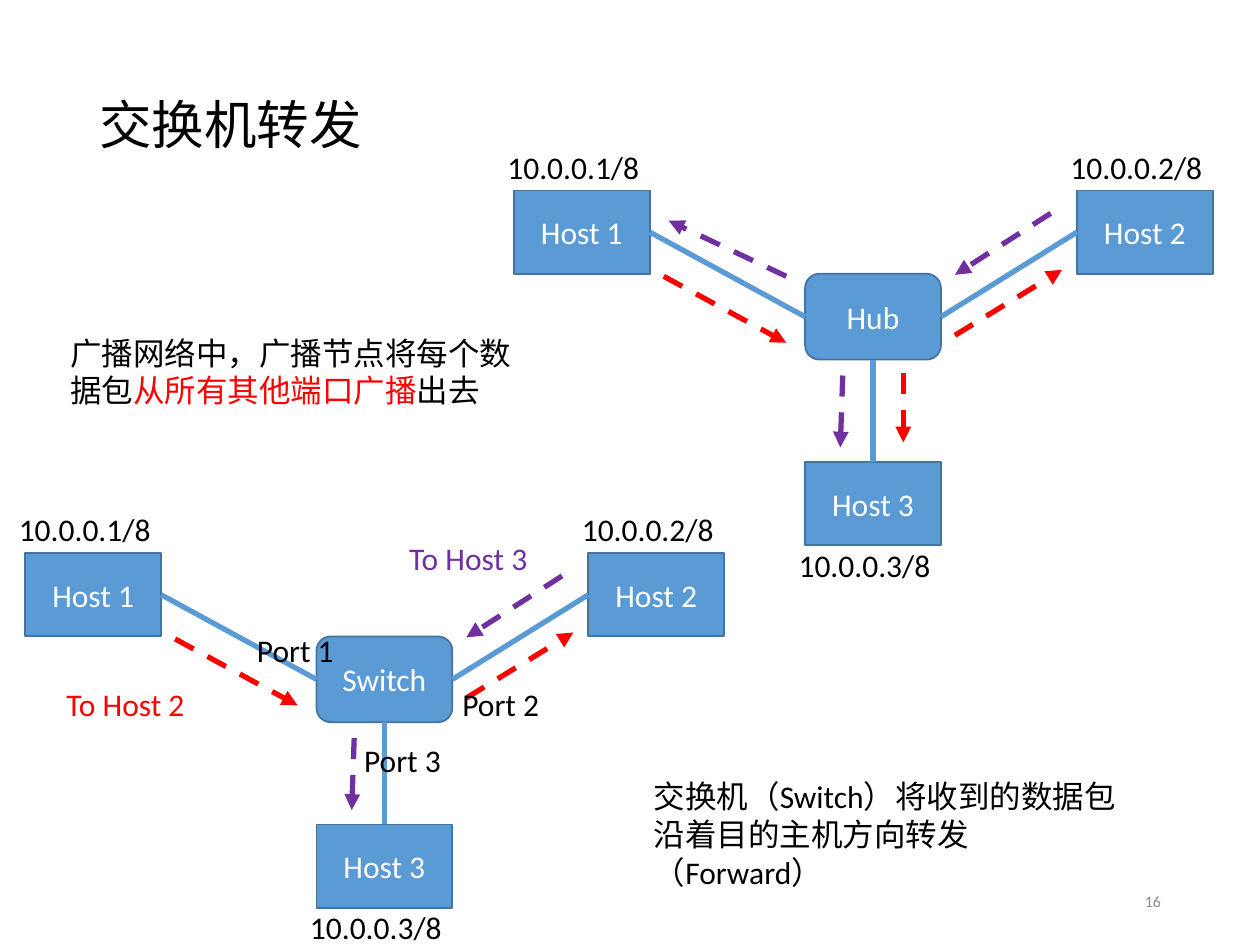
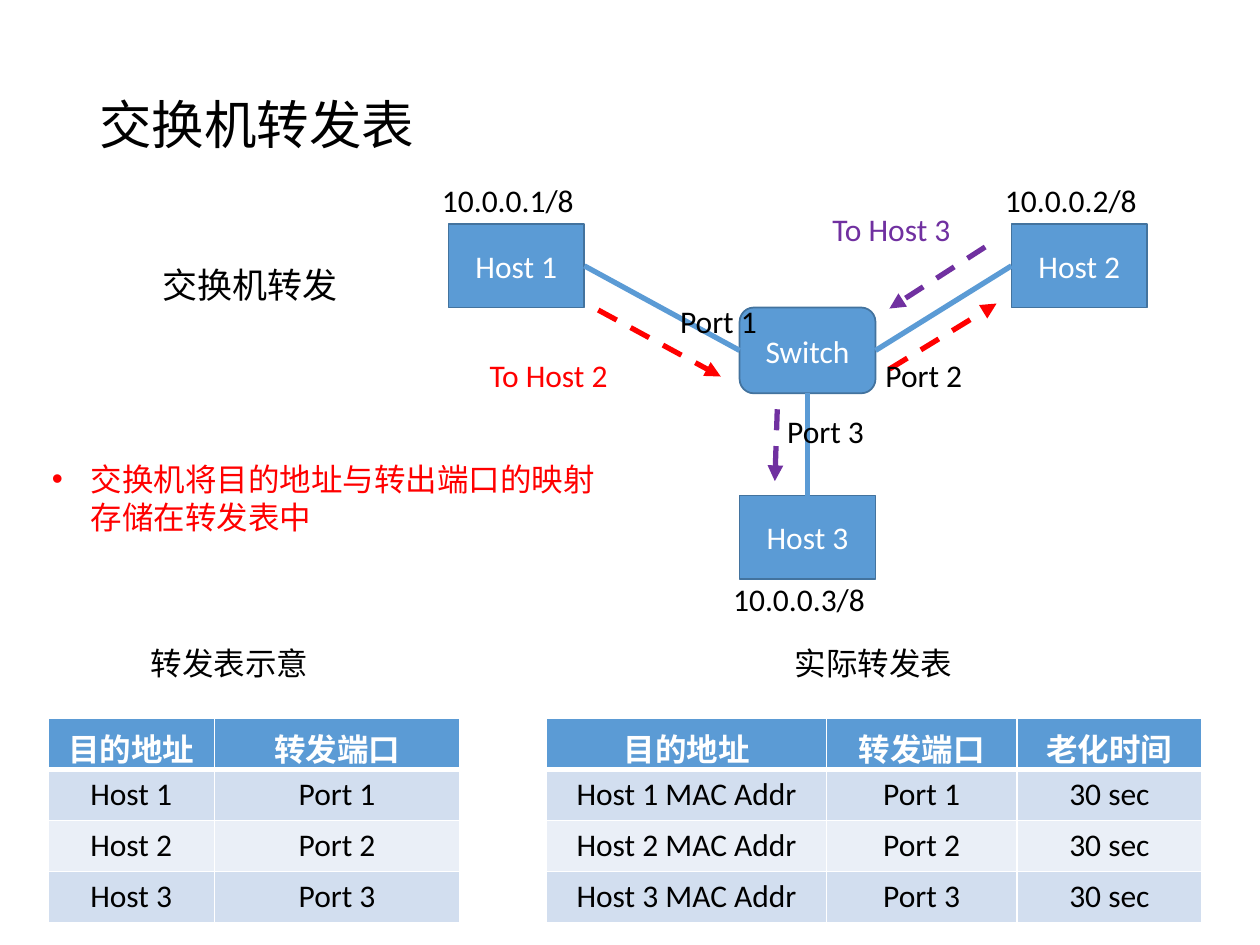
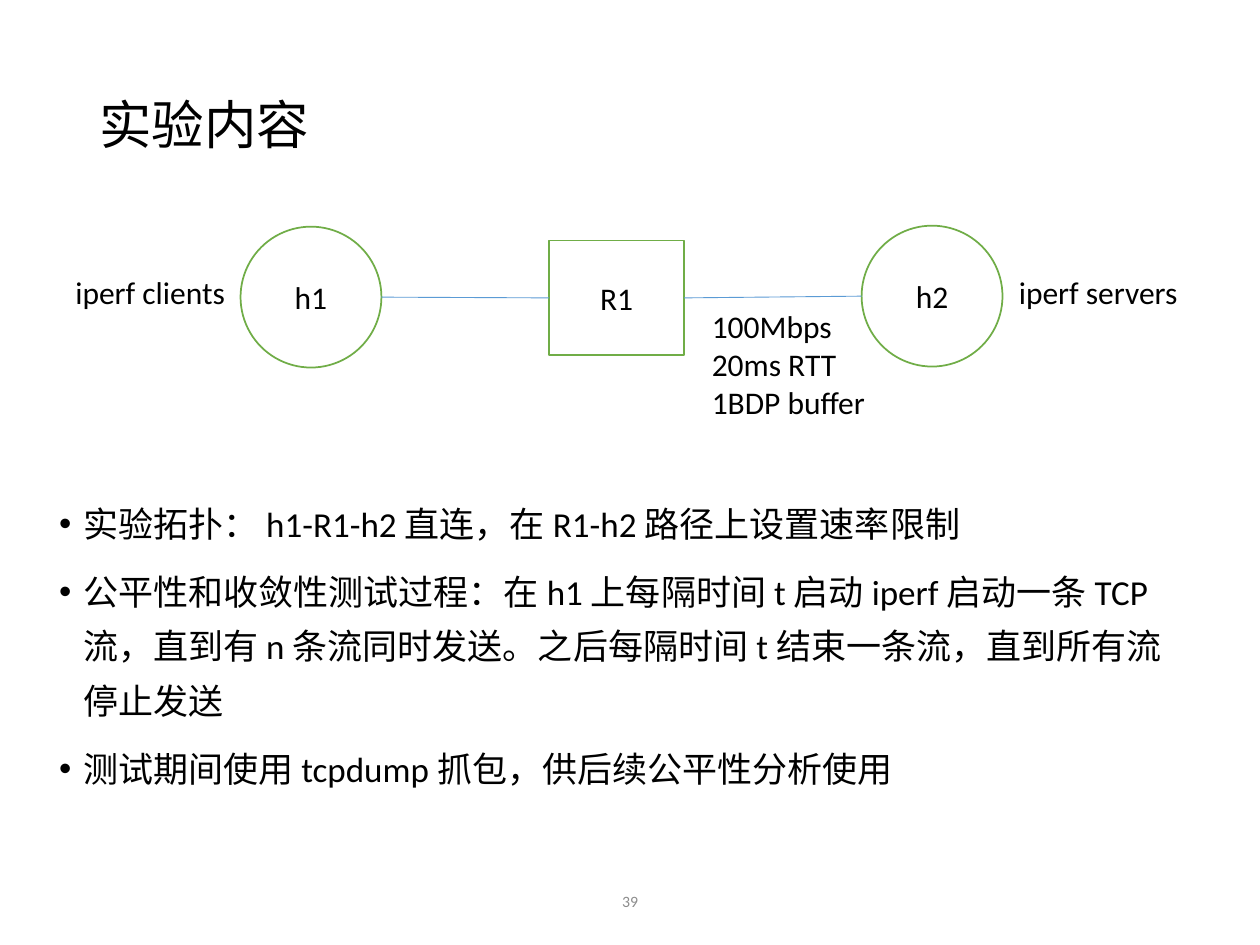
from dataclasses import dataclass

from lxml.etree import SubElement
from pptx import Presentation
from pptx.dml.color import RGBColor
from pptx.enum.dml import MSO_LINE
from pptx.enum.shapes import MSO_CONNECTOR, MSO_SHAPE
from pptx.enum.text import MSO_ANCHOR, MSO_AUTO_SIZE, PP_ALIGN
from pptx.oxml.ns import qn
from pptx.util import Cm, Pt


@dataclass(frozen=True)
class Theme:
    font: str = "Calibri"
    title_size: float = 30
    list_size: float = 20
    text_size: float = 18
    number_size: float = 9
    black: str = "000000"
    white: str = "FFFFFF"
    gray: str = "8C8C8C"
    red: str = "FF0000"
    purple: str = "7030A0"
    blue: str = "5B9BD5"
    dark_blue: str = "43739E"
    green: str = "70AD47"
    bands: tuple = ("EAEFF7", "D2DEEF")


theme = Theme()


def write(frame, lines, size=theme.text_size, color=theme.black, align=PP_ALIGN.LEFT, bold=False):
    for index, line in enumerate(lines):
        para = frame.paragraphs[0] if index == 0 else frame.add_paragraph()
        para.alignment = align
        spans = [(line, color)] if isinstance(line, str) else line
        for text, span_color in spans:
            span = para.add_run()
            span.text = text
            span.font.name = theme.font
            span.font.size = Pt(size)
            span.font.bold = bold
            span.font.color.rgb = RGBColor.from_string(span_color)


def draw_line(page, start, end, color, width, arrow=False):
    line = page.shapes.add_connector(
        MSO_CONNECTOR.STRAIGHT, *[Cm(length) for length in (*start, *end)]
    )
    line.line.color.rgb = RGBColor.from_string(color)
    line.line.width = Pt(width)
    properties = line.element.spPr
    if arrow:
        line.line.dash_style = MSO_LINE.DASH
        SubElement(properties.find(qn("a:ln")), qn("a:tailEnd"), type="triangle")
    SubElement(properties, qn("a:effectLst"))


deck = Presentation()
deck.slide_width = Cm(25.4)
deck.slide_height = Cm(19.05)

pages = []
for title, layout in (("交换机转发", 5), ("交换机转发表", 1), ("实验内容", 1)):
    page = deck.slides.add_slide(deck.slide_layouts[layout])
    heading = page.shapes.title
    heading.left, heading.top, heading.width, heading.height = Cm(1.75), Cm(1.02), Cm(21.9), Cm(3.12)
    heading.text_frame.vertical_anchor = MSO_ANCHOR.MIDDLE
    heading.text_frame.auto_size = MSO_AUTO_SIZE.NONE
    write(heading.text_frame, [title], theme.title_size)
    heading.text_frame.paragraphs[0].line_spacing = 0.9
    pages.append(page)
forwarding_page, table_page, lab_page = pages

lists = [
    (table_page, (0.79, 9.14, 11.81, 1.8), theme.text_size, theme.red, 0.79, 1, 0,
     ["交换机将目的地址与转出端口的映射存储在转发表中"]),
    (lab_page, (0.94, 9.75, 23.19, 8.86), theme.list_size, theme.black, 0.48, 1.3, 7.5,
     ["实验拓扑： h1-R1-h2 直连，在 R1-h2 路径上设置速率限制",
      "公平性和收敛性测试过程：在 h1 上每隔时间 t 启动 iperf 启动一条 TCP 流，"
      "直到有 n 条流同时发送。之后每隔时间 t 结束一条流，直到所有流停止发送",
      "测试期间使用 tcpdump 抓包，供后续公平性分析使用"]),
]
for page, place, size, color, indent, spacing, gap, lines in lists:
    body = page.placeholders[1]
    body.left, body.top, body.width, body.height = [Cm(length) for length in place]
    body.text_frame.auto_size = MSO_AUTO_SIZE.NONE
    write(body.text_frame, lines, size, color)
    for para in body.text_frame.paragraphs:
        para.line_spacing = spacing
        para.space_before = Pt(gap)
        properties = para._p.get_or_add_pPr()
        properties.set("marL", str(Cm(indent)))
        properties.set("indent", str(-Cm(indent)))

networks = [
    (forwarding_page, "Hub", 10.36, 3.84),
    (forwarding_page, "Switch", 0.51, 11.15),
    (table_page, "Switch", 9.04, 4.52),
]
hosts = [
    ("Host 1", "10.0.0.1/8", 0, 0, -0.99),
    ("Host 2", "10.0.0.2/8", 11.35, 0, -0.99),
    ("Host 3", "10.0.0.3/8", 5.87, 5.47, 1.57),
]
host_width, host_height, center_height = 2.74, 1.68, 1.73
shared_arrows = [
    ((3.02, 1.73), (5.49, 3.07), theme.red),
    ((8.89, 2.92), (11.05, 1.6), theme.red),
    ((10.82, 0.46), (8.89, 1.7), theme.purple),
    ((6.63, 3.73), (6.58, 5.18), theme.purple),
]
broadcast_arrows = [
    ((7.85, 3.68), (7.85, 5.08), theme.red),
    ((5.49, 1.73), (3.12, 0.61), theme.purple),
]
switch_labels = [
    ("To Host 2", 0.58, 2.54, 2.92, theme.red),
    ("To Host 3", 7.49, -0.41, 2.92, theme.purple),
    ("Port 1", 4.42, 1.45, 2.08, theme.black),
    ("Port 2", 8.56, 2.54, 2.08, theme.black),
    ("Port 3", 6.58, 3.66, 2.08, theme.black),
]

blue_style = (theme.blue, theme.dark_blue, theme.white)
green_style = (theme.white, theme.green, theme.black)
nodes = [
    (lab_page, "lab", "R1", MSO_SHAPE.RECTANGLE, (11.07, 4.85, 2.72, 2.31), green_style),
    (lab_page, "lab", "h1", MSO_SHAPE.OVAL, (4.85, 4.57, 2.84, 2.84), green_style),
    (lab_page, "lab", "h2", MSO_SHAPE.OVAL, (17.37, 4.55, 2.84, 2.84), green_style),
]
links = [
    (lab_page, "lab", "h1", "right", "R1", "left", 0.5),
    (lab_page, "lab", "R1", "right", "h2", "left", 0.5),
]
labels = [
    (forwarding_page, (1.17, 6.6, 10.01, 1.8), True, theme.text_size, theme.black,
     [[("广播网络中，广播节点将每个数据包", theme.black),
       ("从所有其他端口广播", theme.red), ("出去", theme.black)]]),
    (forwarding_page, (12.93, 15.54, 10.01, 1.8), True, theme.text_size, theme.black,
     ["交换机（Switch）将收到的数据包沿着目的主机方向转发（Forward）"]),
    (table_page, (3.02, 5.18, 4.06, 1.12), False, theme.list_size, theme.black, ["交换机转发"]),
    (table_page, (2.79, 12.85, 3.71, 1.02), False, theme.text_size, theme.black, ["转发表示意"]),
    (table_page, (15.77, 12.85, 3.71, 1.02), False, theme.text_size, theme.black, ["实际转发表"]),
    (lab_page, (14.1, 6.07, 4.27, 2.57), True, theme.text_size, theme.black,
     ["100Mbps", "20ms RTT", "1BDP buffer"]),
    (lab_page, (20.29, 5.38, 4.45, 1.02), True, theme.text_size, theme.black, ["iperf servers"]),
    (lab_page, (1.27, 5.38, 4.45, 1.02), True, theme.text_size, theme.black, ["iperf clients"]),
]

for network, (page, center, left, top) in enumerate(networks):
    for host, address, x, y, label_gap in hosts:
        nodes.append((page, network, host, MSO_SHAPE.RECTANGLE,
                      (left + x, top + y, host_width, host_height), blue_style))
        labels.append((page, (left + x - 0.38, top + y + label_gap, 3.2, 1.02),
                       False, theme.text_size, theme.black, [address]))
    nodes.append((page, network, center, MSO_SHAPE.ROUNDED_RECTANGLE,
                  (left + 5.87, top + host_height, host_width, center_height), blue_style))
    links += [
        (page, network, "Host 1", "right", center, "left", 3),
        (page, network, center, "right", "Host 2", "left", 3),
        (page, network, center, "bottom", "Host 3", "top", 3),
    ]
    if center == "Switch":
        for text, x, y, width, color in switch_labels:
            labels.append((page, (left + x, top + y, width, 1.02),
                           False, theme.text_size, color, [text]))

side_shares = {"left": (0, 0.5), "right": (1, 0.5), "top": (0.5, 0), "bottom": (0.5, 1)}
side_points = {}
for page, network, name, kind, place, (fill, outline, color) in nodes:
    node = page.shapes.add_shape(kind, *[Cm(length) for length in place])
    node.shadow.inherit = False
    node.fill.solid()
    node.fill.fore_color.rgb = RGBColor.from_string(fill)
    node.line.color.rgb = RGBColor.from_string(outline)
    node.line.width = Pt(1)
    node.text_frame.vertical_anchor = MSO_ANCHOR.MIDDLE
    write(node.text_frame, [name], color=color, align=PP_ALIGN.CENTER)
    left, top, width, height = place
    for side, (across, down) in side_shares.items():
        side_points[network, name, side] = (left + width * across, top + height * down)

for page, network, first, first_side, second, second_side, weight in links:
    draw_line(page, side_points[network, first, first_side],
              side_points[network, second, second_side], theme.blue, weight)

for page, center, left, top in networks:
    arrows = shared_arrows + (broadcast_arrows if center == "Hub" else [])
    for (x1, y1), (x2, y2), color in arrows:
        draw_line(page, (left + x1, top + y1), (left + x2, top + y2), color, 3, arrow=True)

for page, place, wrap, size, color, lines in labels:
    box = page.shapes.add_textbox(*[Cm(length) for length in place])
    box.text_frame.word_wrap = wrap
    box.text_frame.auto_size = MSO_AUTO_SIZE.SHAPE_TO_FIT_TEXT
    write(box.text_frame, lines, size, color)

for page, number, left, width, align in (
    (forwarding_page, "16", 17.93, 5.72, PP_ALIGN.RIGHT),
    (lab_page, "39", 8.41, 8.59, PP_ALIGN.CENTER),
):
    footer = page.shapes.add_textbox(Cm(left), Cm(17.65), Cm(width), Cm(1.02))
    footer.text_frame.word_wrap = True
    footer.text_frame.vertical_anchor = MSO_ANCHOR.MIDDLE
    write(footer.text_frame, [number], theme.number_size, theme.gray, align)

host_numbers = (1, 2, 3)
tables = [
    (0.97, (3.35, 4.95),
     [("目的地址", "转发端口")] + [(f"Host {n}", f"Port {n}") for n in host_numbers]),
    (11.02, (5.64, 3.84, 3.73),
     [("目的地址", "转发端口", "老化时间")]
     + [(f"Host {n} MAC Addr", f"Port {n}", "30 sec") for n in host_numbers]),
]
row_height = 1.03
for left, widths, rows in tables:
    table = table_page.shapes.add_table(
        len(rows), len(widths), Cm(left), Cm(14.48), Cm(sum(widths)), Cm(row_height * len(rows))
    ).table
    for column, width in zip(table.columns, widths):
        column.width = Cm(width)
    for row_index, values in enumerate(rows):
        table.rows[row_index].height = Cm(row_height)
        header = row_index == 0
        for column_index, value in enumerate(values):
            cell = table.cell(row_index, column_index)
            properties = cell._tc.get_or_add_tcPr()
            for side in ("L", "R", "T", "B"):
                thick = (header and side == "B") or (row_index == 1 and side == "T")
                border = SubElement(properties, qn(f"a:ln{side}"), w=str(Pt(3 if thick else 1)))
                SubElement(SubElement(border, qn("a:solidFill")), qn("a:srgbClr"), val=theme.white)
            cell.fill.solid()
            cell.fill.fore_color.rgb = RGBColor.from_string(
                theme.blue if header else theme.bands[row_index % 2]
            )
            write(cell.text_frame, [value], color=theme.white if header else theme.black,
                  align=PP_ALIGN.CENTER, bold=header)

deck.save("out.pptx")
